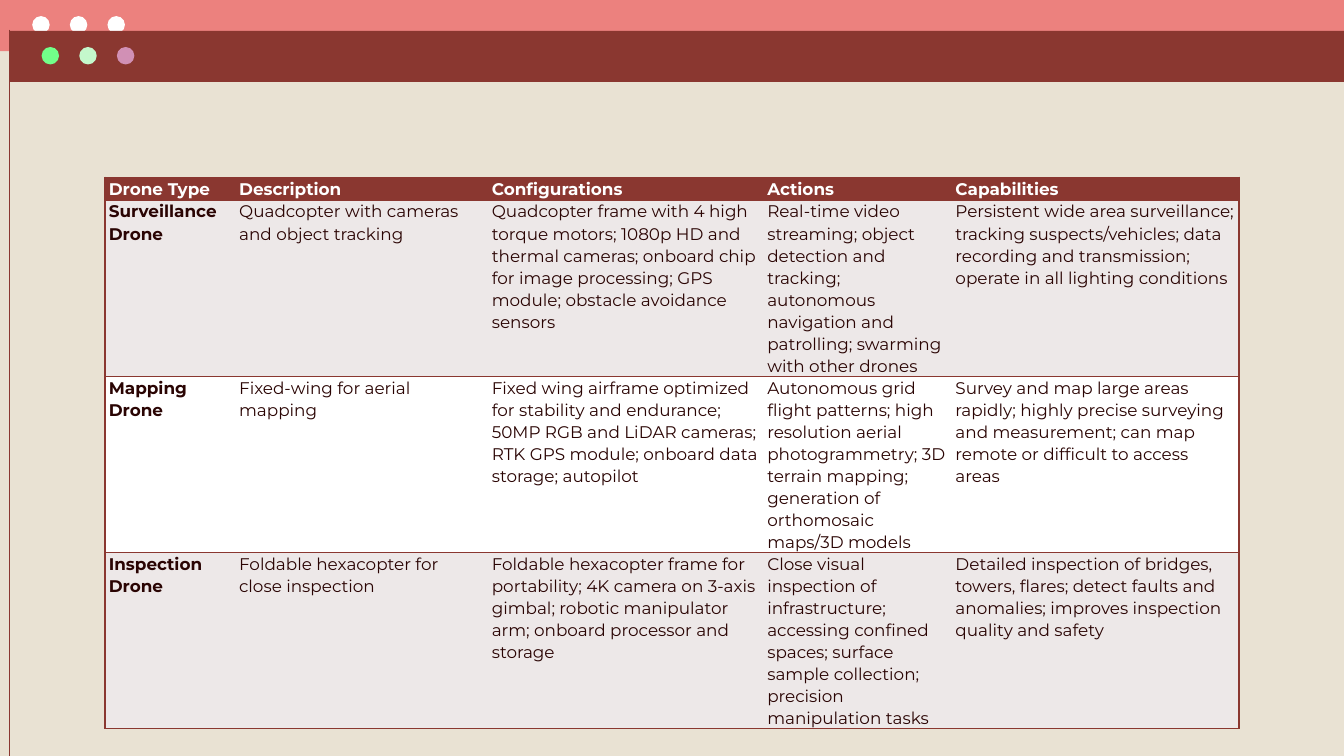
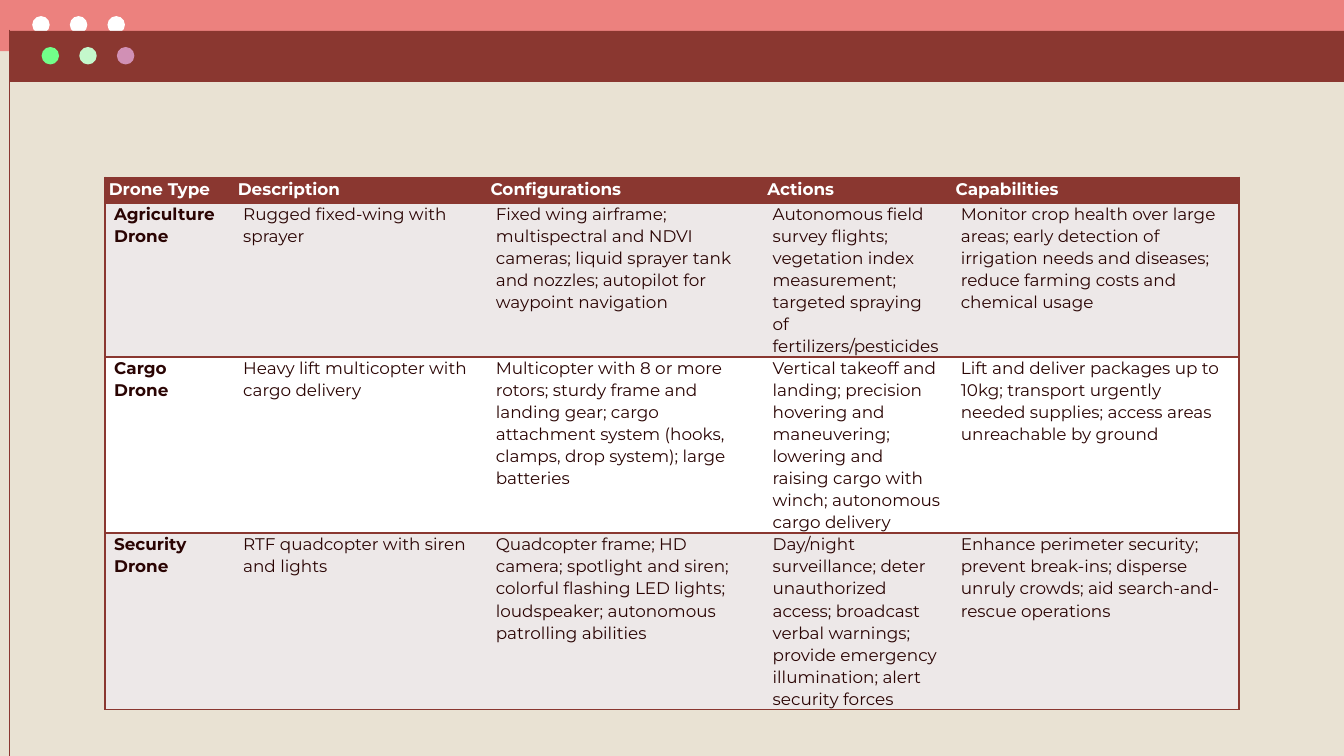
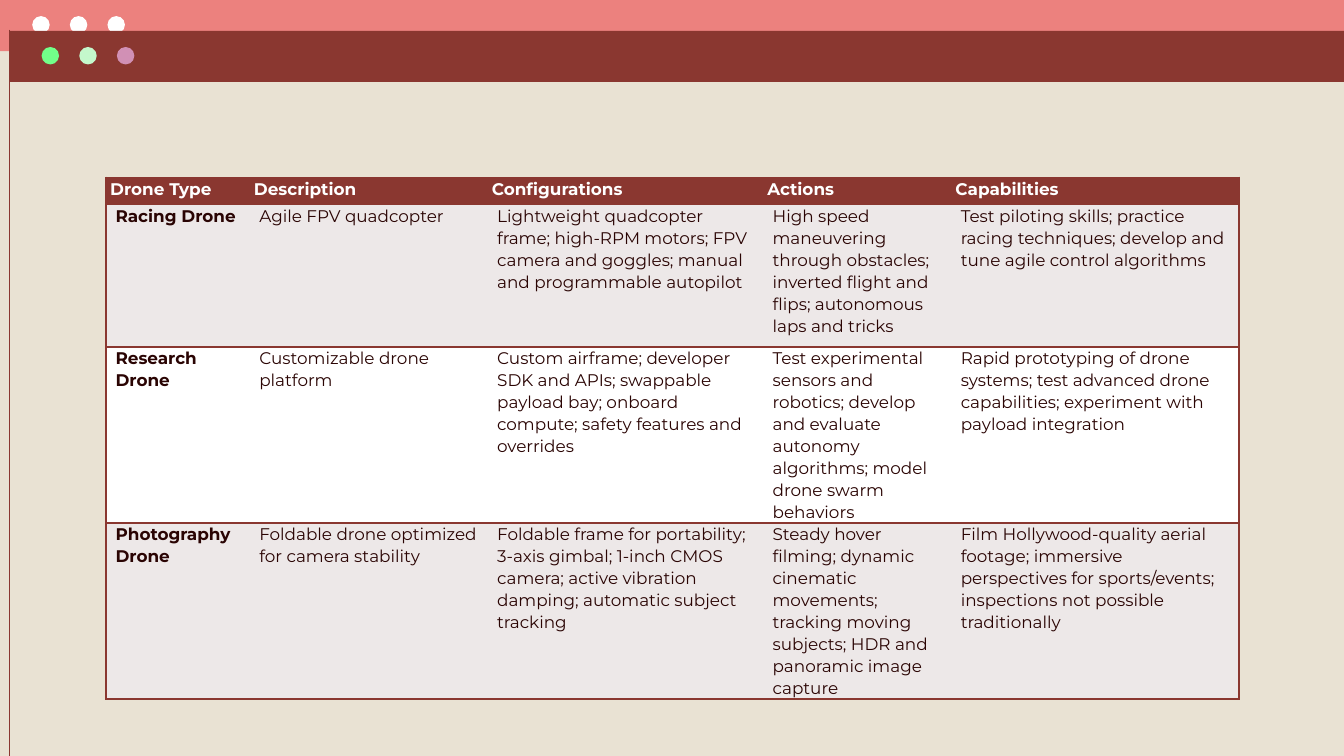
from lxml import etree
from pptx import Presentation
from pptx.dml.color import RGBColor
from pptx.enum.shapes import MSO_CONNECTOR, MSO_SHAPE
from pptx.oxml.ns import qn
from pptx.util import Inches, Pt

RECTANGLE = MSO_SHAPE.RECTANGLE
OVAL = MSO_SHAPE.OVAL
STRAIGHT = MSO_CONNECTOR.STRAIGHT

CREAM = RGBColor(0xE9, 0xE2, 0xD3)
CORAL = RGBColor(0xEC, 0x81, 0x7E)
MAROON = RGBColor(0x8A, 0x37, 0x30)
WHITE = RGBColor(0xFF, 0xFF, 0xFF)
GREEN = RGBColor(0x72, 0xFF, 0x89)
MINT = RGBColor(0xC4, 0xF8, 0xCC)
MAUVE = RGBColor(0xD1, 0x90, 0xB5)
BLUSH = RGBColor(0xED, 0xE8, 0xE8)
INK = RGBColor(0x2A, 0x04, 0x03)

FONT = "Montserrat"
SLIDE_WIDTH = 10
SLIDE_HEIGHT = SLIDE_WIDTH * 9 / 16
BAR_HEIGHT = 0.38
DOT_LEFT, DOT_TOP = 0.24, 0.12
DOT_SIZE, DOT_PITCH = 0.13, 0.28
HEADER_INSET = 0.03
BORDER_WIDTH = Pt(1)

HEADERS = ["Drone Type", "Description", "Configurations", "Actions", "Capabilities"]

DRONE_TABLES = [
    {
        "left": 0.78,
        "columns": [0.97, 1.88, 2.05, 1.4, 2.14],
        "heights": [0.17, 1.21, 1.21, 1.21],
        "inset": 0.03,
        "drones": [
            ["Surveillance Drone",
             "Quadcopter with cameras and object tracking",
             "Quadcopter frame with 4 high torque motors; 1080p HD and thermal cameras; "
             "onboard chip for image processing; GPS module; obstacle avoidance sensors",
             "Real-time video streaming; object detection and tracking; autonomous "
             "navigation and patrolling; swarming with other drones",
             "Persistent wide area surveillance; tracking suspects/vehicles; data "
             "recording and transmission; operate in all lighting conditions"],
            ["Mapping Drone",
             "Fixed-wing for aerial mapping",
             "Fixed wing airframe optimized for stability and endurance; 50MP RGB and "
             "LiDAR cameras; RTK GPS module; onboard data storage; autopilot",
             "Autonomous grid flight patterns; high resolution aerial photogrammetry; "
             "3D terrain mapping; generation of orthomosaic maps/3D models",
             "Survey and map large areas rapidly; highly precise surveying and "
             "measurement; can map remote or difficult to access areas"],
            ["Inspection Drone",
             "Foldable hexacopter for close inspection",
             "Foldable hexacopter frame for portability; 4K camera on 3-axis gimbal; "
             "robotic manipulator arm; onboard processor and storage",
             "Close visual inspection of infrastructure; accessing confined spaces; "
             "surface sample collection; precision manipulation tasks",
             "Detailed inspection of bridges, towers, flares; detect faults and "
             "anomalies; improves inspection quality and safety"],
        ],
    },
    {
        "left": 0.78,
        "columns": [0.96, 1.88, 2.06, 1.4, 2.14],
        "heights": [0.19, 1.07, 1.23, 1.23],
        "inset": 0.07,
        "drones": [
            ["Agriculture Drone",
             "Rugged fixed-wing with sprayer",
             "Fixed wing airframe; multispectral and NDVI cameras; liquid sprayer tank "
             "and nozzles; autopilot for waypoint navigation",
             "Autonomous field survey flights; vegetation index measurement; targeted "
             "spraying of fertilizers/pesticides",
             "Monitor crop health over large areas; early detection of irrigation needs "
             "and diseases; reduce farming costs and chemical usage"],
            ["Cargo Drone",
             "Heavy lift multicopter with cargo delivery",
             "Multicopter with 8 or more rotors; sturdy frame and landing gear; cargo "
             "attachment system (hooks, clamps, drop system); large batteries",
             "Vertical takeoff and landing; precision hovering and maneuvering; lowering "
             "and raising cargo with winch; autonomous cargo delivery",
             "Lift and deliver packages up to 10kg; transport urgently needed supplies; "
             "access areas unreachable by ground"],
            ["Security Drone",
             "RTF quadcopter with siren and lights",
             "Quadcopter frame; HD camera; spotlight and siren; colorful flashing LED "
             "lights; loudspeaker; autonomous patrolling abilities",
             "Day/night surveillance; deter unauthorized access; broadcast verbal "
             "warnings; provide emergency illumination; alert security forces",
             "Enhance perimeter security; prevent break-ins; disperse unruly crowds; aid "
             "search-and-rescue operations"],
        ],
    },
    {
        "left": 0.79,
        "columns": [1.07, 1.77, 2.05, 1.4, 2.14],
        "heights": [0.2, 1.06, 1.24, 1.21],
        "inset": 0.07,
        "drones": [
            ["Racing Drone",
             "Agile FPV quadcopter",
             "Lightweight quadcopter frame; high-RPM motors; FPV camera and goggles; "
             "manual and programmable autopilot",
             "High speed maneuvering through obstacles; inverted flight and flips; "
             "autonomous laps and tricks",
             "Test piloting skills; practice racing techniques; develop and tune agile "
             "control algorithms"],
            ["Research Drone",
             "Customizable drone platform",
             "Custom airframe; developer SDK and APIs; swappable payload bay; onboard "
             "compute; safety features and overrides",
             "Test experimental sensors and robotics; develop and evaluate autonomy "
             "algorithms; model drone swarm behaviors",
             "Rapid prototyping of drone systems; test advanced drone capabilities; "
             "experiment with payload integration"],
            ["Photography Drone",
             "Foldable drone optimized for camera stability",
             "Foldable frame for portability; 3-axis gimbal; 1-inch CMOS camera; active "
             "vibration damping; automatic subject tracking",
             "Steady hover filming; dynamic cinematic movements; tracking moving "
             "subjects; HDR and panoramic image capture",
             "Film Hollywood-quality aerial footage; immersive perspectives for "
             "sports/events; inspections not possible traditionally"],
        ],
    },
]


def add_filled_shape(shapes, kind, left, top, width, height, color):
    """Add a flat preset shape without outline."""
    shape = shapes.add_shape(kind, Inches(left), Inches(top), Inches(width), Inches(height))
    shape.shadow.inherit = False
    shape.fill.solid()
    shape.fill.fore_color.rgb = color
    shape.line.fill.background()


def add_window_bar(slide, left, top, color, dot_colors):
    """Add a title bar running to the right edge, with its window dots placed in it."""
    shapes = slide.shapes.add_group_shape().shapes
    add_filled_shape(shapes, RECTANGLE, left, top, SLIDE_WIDTH - left, BAR_HEIGHT, color)
    for index, dot_color in enumerate(dot_colors):
        add_filled_shape(shapes, OVAL, left + DOT_LEFT + index * DOT_PITCH, top + DOT_TOP,
                         DOT_SIZE, DOT_SIZE, dot_color)


def add_window_edge(slide, left, top):
    """Add the thin line down the left side of the front window."""
    line = slide.shapes.add_connector(STRAIGHT, Inches(left), Inches(top),
                                      Inches(left), Inches(SLIDE_HEIGHT))
    line.line.color.rgb = MAROON
    line.line.width = Pt(0.75)
    etree.SubElement(line._element.spPr, qn("a:effectLst"))


def add_window_frame(slide):
    """Add the background and the two stacked windows."""
    slide.background.fill.solid()
    slide.background.fill.fore_color.rgb = CREAM
    add_window_bar(slide, 0, 0, CORAL, [WHITE] * 3)
    add_window_bar(slide, 0.07, 0.23, MAROON, [GREEN, MINT, MAUVE])
    add_window_edge(slide, 0.07, 0.22)


def write_text(text_frame, text, *, color, bold, size=9, line_spacing=1.07):
    """Write one formatted paragraph."""
    paragraph = text_frame.paragraphs[0]
    paragraph.line_spacing = line_spacing
    run = paragraph.add_run()
    run.text = text
    run.font.name = FONT
    run.font.size = Pt(size)
    run.font.bold = bold
    run.font.color.rgb = color


def set_borders(cell, visible_sides):
    """Rule the named sides of a cell and clear the others."""
    properties = cell._tc.get_or_add_tcPr()
    for side in "LRTB":
        border = etree.SubElement(properties, qn(f"a:ln{side}"), w=str(BORDER_WIDTH))
        if side in visible_sides:
            fill = etree.SubElement(border, qn("a:solidFill"))
            etree.SubElement(fill, qn("a:srgbClr"), val=str(MAROON))
        else:
            etree.SubElement(border, qn("a:noFill"))


def format_cell(cell, fill, inset, visible_sides):
    """Set the borders, fill and margins of a cell."""
    set_borders(cell, visible_sides)
    cell.fill.solid()
    cell.fill.fore_color.rgb = fill
    cell.margin_left = cell.margin_right = Inches(inset)
    cell.margin_top = cell.margin_bottom = 0


def add_drone_table(slide, left, top, columns, heights, inset, drones):
    """Add a table of drones under the shared header row."""
    rows = [HEADERS] + drones
    frame = slide.shapes.add_table(len(rows), len(columns), Inches(left), Inches(top),
                                   Inches(sum(columns)), Inches(sum(heights)))
    table = frame.table
    for column, width in zip(table.columns, columns):
        column.width = Inches(width)
    for row_index, texts in enumerate(rows):
        table.rows[row_index].height = Inches(heights[row_index])
        is_header = row_index == 0
        fill = MAROON if is_header else BLUSH if row_index % 2 else WHITE
        for column_index, text in enumerate(texts):
            is_first = column_index == 0
            is_last = column_index == len(columns) - 1
            sides = "TB" + "L" * is_first + "R" * is_last
            cell = table.cell(row_index, column_index)
            format_cell(cell, fill, HEADER_INSET if is_header else inset, sides)
            write_text(cell.text_frame, text, color=WHITE if is_header else INK,
                       bold=is_header or is_first)


def main():
    """Build one slide for each drone table."""
    presentation = Presentation()
    presentation.slide_width = Inches(SLIDE_WIDTH)
    presentation.slide_height = Inches(SLIDE_HEIGHT)
    blank_layout = presentation.slide_layouts[6]
    for drone_table in DRONE_TABLES:
        slide = presentation.slides.add_slide(blank_layout)
        add_window_frame(slide)
        add_drone_table(slide, top=1.32, **drone_table)
    presentation.save("out.pptx")


if __name__ == "__main__":
    main()
